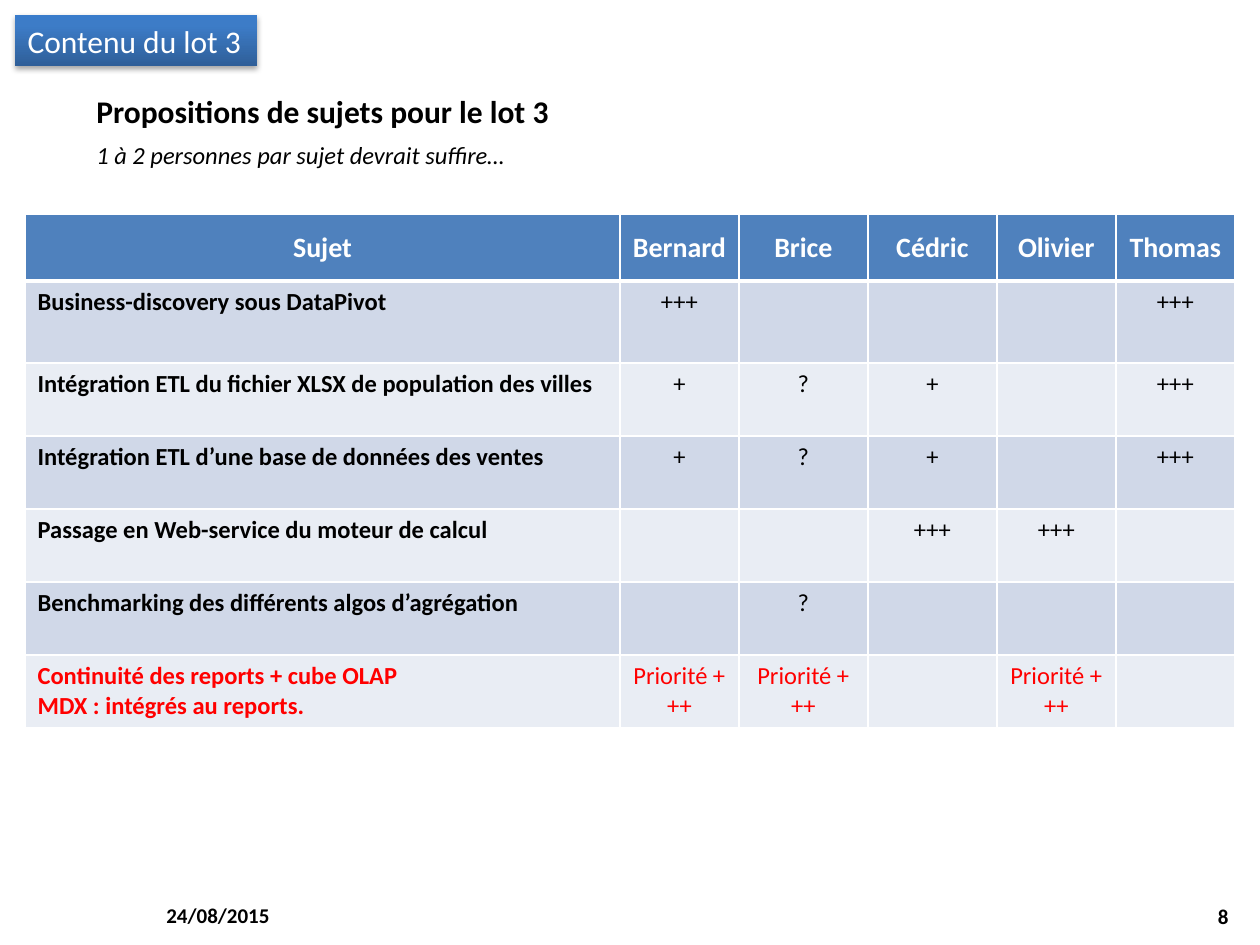
from typing import NamedTuple

from pptx import Presentation
from pptx import util as u
from pptx.dml.color import RGBColor
from pptx.enum import text
from pptx.oxml import parse_xml
from pptx.oxml.ns import nsdecls

PX = 914400 / 126  # EMU per px
FONT = "Calibri"
BLACK = RGBColor(0x00, 0x00, 0x00)
WHITE = RGBColor(0xFF, 0xFF, 0xFF)
RED = RGBColor(0xFF, 0x00, 0x00)
HEADER_BLUE = RGBColor(0x4F, 0x81, 0xBD)
BANDS = (RGBColor(0xD0, 0xD8, 0xE8), RGBColor(0xE9, 0xED, 0xF4))
GRADIENT = ((0, "2F5F99"), (80, "3D7CC7"), (100, "3A7CCB"))
LEFT, CENTER, RIGHT = text.PP_ALIGN.LEFT, text.PP_ALIGN.CENTER, text.PP_ALIGN.RIGHT
TOP, MIDDLE = text.MSO_ANCHOR.TOP, text.MSO_ANCHOR.MIDDLE


class Box(NamedTuple):
    left: int
    top: int
    width: int
    height: int


class Subject(NamedTuple):
    name: str
    votes: tuple[str, ...]
    color: RGBColor = BLACK


PEOPLE = ("Bernard", "Brice", "Cédric", "Olivier", "Thomas")
PRIORITY = "Priorité +++"
SUBJECTS = (
    Subject("Business-discovery sous DataPivot", ("+++", "", "", "", "+++")),
    Subject("Intégration ETL du fichier XLSX de population des villes", ("+", "?", "+", "", "+++")),
    Subject("Intégration ETL d’une base de données des ventes", ("+", "?", "+", "", "+++")),
    Subject("Passage en Web-service du moteur de calcul", ("", "", "+++", "+++", "")),
    Subject("Benchmarking des différents algos d’agrégation", ("", "?", "", "", "")),
    Subject("Continuité des reports + cube OLAP\nMDX : intégrés au reports.",
            (PRIORITY, PRIORITY, "", PRIORITY, ""), RED),
)
COLUMN_WIDTHS = (595, 119, 129, 129, 119, 119)
ROW_HEIGHTS = (67, 82, 73, 73, 73, 73, 73)


def px(length: int) -> u.Emu:
    return u.Emu(round(length * PX))


def write(frame, content: str, *, size: int, color: RGBColor = BLACK, bold: bool = False,
          italic: bool = False, align=LEFT, space: int = 0, append: bool = False) -> None:
    """Write one paragraph for each line of content."""
    for index, line in enumerate(content.split("\n")):
        first = index == 0 and not append
        paragraph = frame.paragraphs[0] if first else frame.add_paragraph()
        paragraph.alignment = align
        paragraph.space_before = u.Pt(0 if first else space)
        paragraph.space_after = u.Pt(space)
        font = paragraph.font
        if line:
            run = paragraph.add_run()
            run.text = line
            font = run.font
        font.name, font.size = FONT, u.Pt(size)
        font.bold, font.italic = bold, italic
        font.color.rgb = color


def add_text_box(slide, box: Box, anchor=TOP, wrap: bool = True):
    frame = slide.shapes.add_textbox(*map(px, box)).text_frame
    frame.word_wrap = wrap
    frame.vertical_anchor = anchor
    return frame


def style_banner(shape, box: Box) -> None:
    """Place the title and give it a vertical gradient and a soft shadow."""
    shape.left, shape.top, shape.width, shape.height = map(px, box)
    stops = "".join(f'<a:gs pos="{position * 1000}"><a:srgbClr val="{color}"/></a:gs>'
                    for position, color in GRADIENT)
    properties = shape._element.spPr
    properties.append(parse_xml(
        f'<a:gradFill {nsdecls("a")} rotWithShape="1"><a:gsLst>{stops}</a:gsLst>'
        '<a:lin ang="16200000" scaled="0"/></a:gradFill>'))
    properties.append(parse_xml(
        f'<a:effectLst {nsdecls("a")}><a:outerShdw blurRad="40000" dist="23000" dir="5400000" '
        'rotWithShape="0"><a:srgbClr val="000000"><a:alpha val="35000"/></a:srgbClr>'
        '</a:outerShdw></a:effectLst>'))


def fill_cell(cell, content: str, fill: RGBColor, *, borders: dict[str, int],
              anchor=TOP, **text_format) -> None:
    properties = cell._tc.get_or_add_tcPr()
    for side, points in borders.items():
        properties.append(parse_xml(
            f'<a:ln{side} {nsdecls("a")} w="{u.Pt(points)}"><a:solidFill>'
            f'<a:srgbClr val="{WHITE}"/></a:solidFill></a:ln{side}>'))
    cell.fill.solid()
    cell.fill.fore_color.rgb = fill
    cell.vertical_anchor = anchor
    write(cell.text_frame, content, **text_format)


def add_subject_table(slide, left: int, top: int) -> None:
    box = Box(left, top, sum(COLUMN_WIDTHS), sum(ROW_HEIGHTS))
    table = slide.shapes.add_table(len(ROW_HEIGHTS), len(COLUMN_WIDTHS), *map(px, box)).table
    for column, width in zip(table.columns, COLUMN_WIDTHS):
        column.width = px(width)
    for row, height in zip(table.rows, ROW_HEIGHTS):
        row.height = px(height)

    # Header row
    for column, label in enumerate(("Sujet", *PEOPLE)):
        fill_cell(table.cell(0, column), label, HEADER_BLUE, anchor=MIDDLE,
                  borders={"L": 1, "R": 1, "T": 1, "B": 3},
                  size=16, color=WHITE, bold=True, align=CENTER)

    # Subjects and votes, on alternating bands
    for row, subject in enumerate(SUBJECTS, start=1):
        borders = {"L": 1, "R": 1, "T": 3 if row == 1 else 1, "B": 1}
        for column, content in enumerate((subject.name, *subject.votes)):
            fill_cell(table.cell(row, column), content, BANDS[(row - 1) % 2], borders=borders,
                      size=14, color=subject.color, bold=column == 0,
                      align=CENTER if column else LEFT)


def main() -> None:
    presentation = Presentation()
    presentation.slide_width, presentation.slide_height = px(1260), px(945)
    slide = presentation.slides.add_slide(presentation.slide_layouts[5])

    # Title banner
    title = slide.shapes.title
    style_banner(title, Box(15, 15, 242, 51))
    title.text_frame.word_wrap = False
    title.text_frame.auto_size = text.MSO_AUTO_SIZE.NONE
    title.text_frame.vertical_anchor = MIDDLE
    write(title.text_frame, "Contenu du lot 3", size=18, color=WHITE)

    # Introduction
    introduction = add_text_box(slide, Box(84, 86, 481, 91), wrap=False)
    write(introduction, "Propositions de sujets pour le lot 3", size=18, bold=True, space=3)
    write(introduction, "1 à 2 personnes par sujet devrait suffire…", size=14, italic=True,
          space=3, append=True)

    add_subject_table(slide, 25, 214)

    # Date and page number
    write(add_text_box(slide, Box(154, 890, 294, 50), MIDDLE), "24/08/2015", size=12, bold=True)
    write(add_text_box(slide, Box(947, 891, 294, 50), MIDDLE), "8", size=12, bold=True, align=RIGHT)

    presentation.save("out.pptx")


if __name__ == "__main__":
    main()
